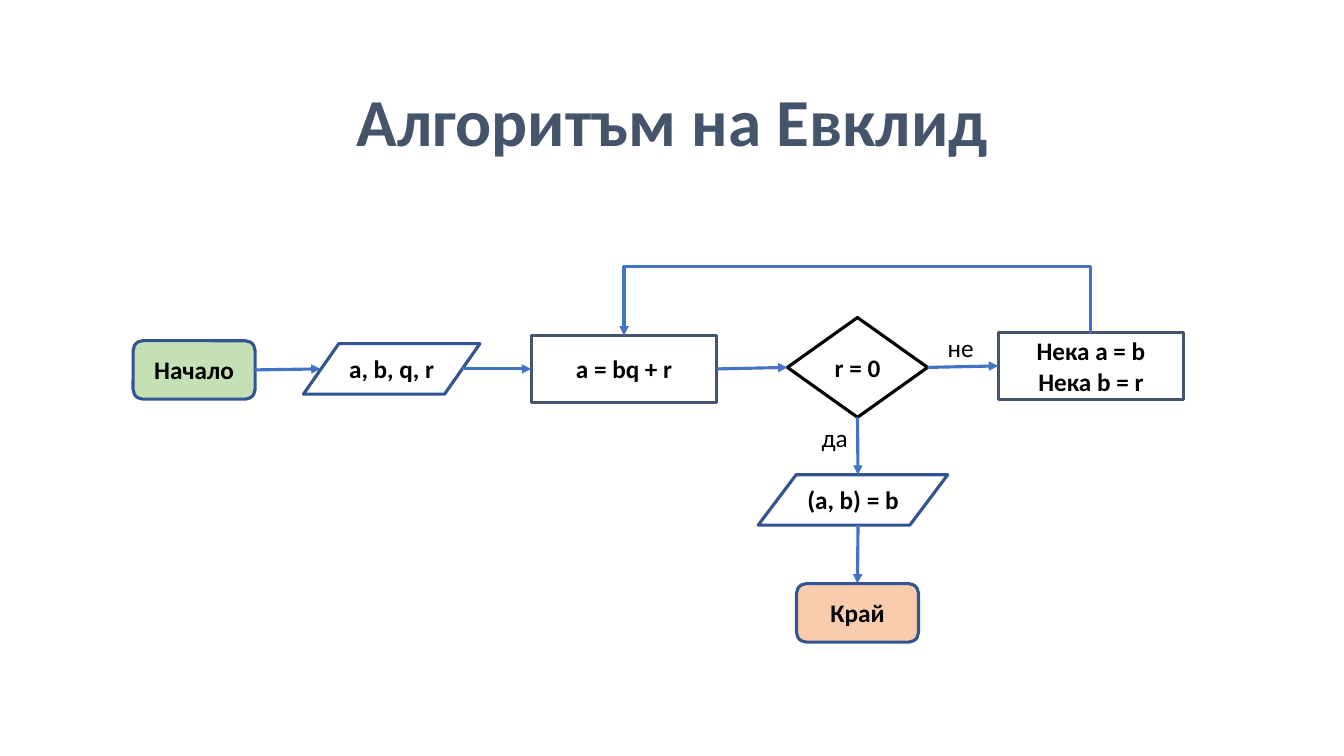
from lxml import etree
from pptx import Presentation
from pptx.dml.color import RGBColor
from pptx.enum.shapes import MSO_CONNECTOR, MSO_SHAPE
from pptx.enum.text import MSO_ANCHOR, PP_ALIGN
from pptx.oxml.ns import qn
from pptx.util import Inches, Pt

ROUNDED = MSO_SHAPE.ROUNDED_RECTANGLE
DATA = MSO_SHAPE.FLOWCHART_DATA
DECISION = MSO_SHAPE.FLOWCHART_DECISION
RECTANGLE = MSO_SHAPE.RECTANGLE
STRAIGHT, ELBOW = MSO_CONNECTOR.STRAIGHT, MSO_CONNECTOR.ELBOW
CENTER, MIDDLE = PP_ALIGN.CENTER, MSO_ANCHOR.MIDDLE
TOP, LEFT, BOTTOM, RIGHT = range(4)
BLUE, NAVY, SLATE, BLACK = "4472C4", "325491", "44546A", "000000"


def color(hex_value):
    return RGBColor.from_string(hex_value)


def add_text(paragraph, text, size=18, hex_value=BLACK, bold=True):
    run = paragraph.add_run()
    run.text = text
    run.font.name = "Calibri"
    run.font.size = Pt(size)
    run.font.bold = bold
    run.font.color.rgb = color(hex_value)


presentation = Presentation()
presentation.slide_width = Inches(13.33)
presentation.slide_height = Inches(7.5)
slide = presentation.slides.add_slide(presentation.slide_layouts[5])

title = slide.shapes.title
title.left, title.top = Inches(0.92), Inches(0.51)
title.width, title.height = Inches(11.5), Inches(1.45)
title.text_frame.vertical_anchor = MIDDLE
title_paragraph = title.text_frame.paragraphs[0]
title_paragraph.alignment = CENTER
title_paragraph.line_spacing = 0.9
add_text(title_paragraph, "Алгоритъм на Евклид", 48, SLATE)

# Flowchart steps: name, kind, left, top, width, height, fill, line, text lines
steps = [
    ("start", ROUNDED, 1.32, 3.38, 1.21, 0.58, "C5E0B4", NAVY, ["Начало"]),
    ("input", DATA, 3.01, 3.41, 1.75, 0.5, "FFFFFF", NAVY, ["a, b, q, r"]),
    ("division", RECTANGLE, 5.27, 3.33, 1.84, 0.66, None, SLATE, ["a = bq + r"]),
    ("test", DECISION, 7.81, 3.15, 1.39, 0.99, None, BLACK, ["r = 0"]),
    ("update", RECTANGLE, 9.9, 3.3, 1.84, 0.66, None, SLATE,
     ["Нека a = b", "Нека b = r"]),
    ("output", DATA, 7.52, 4.71, 1.88, 0.5, "FFFFFF", NAVY, ["(a, b) = b"]),
    ("end", ROUNDED, 7.9, 5.79, 1.21, 0.58, "F8CBAD", NAVY, ["Край"]),
]
shapes = {}
for name, kind, left, top, width, height, fill, line, texts in steps:
    shape = slide.shapes.add_shape(
        kind, Inches(left), Inches(top), Inches(width), Inches(height))
    shape.shadow.inherit = False
    if fill:
        shape.fill.solid()
        shape.fill.fore_color.rgb = color(fill)
    else:
        shape.fill.background()
    shape.line.color.rgb = color(line)
    shape.line.width = Pt(2.25)
    frame = shape.text_frame
    frame.word_wrap = True
    frame.vertical_anchor = MIDDLE
    for index, text in enumerate(texts):
        paragraph = frame.add_paragraph() if index else frame.paragraphs[0]
        paragraph.alignment = CENTER
        add_text(paragraph, text)
    shapes[name] = shape

for text, left, top in [("да", 8.05, 4.14), ("не", 9.3, 3.25)]:
    label = slide.shapes.add_textbox(
        Inches(left), Inches(top), Inches(0.71), Inches(0.4))
    label.text_frame.word_wrap = True
    add_text(label.text_frame.paragraphs[0], text, bold=False)

# Arrows: kind, start point, end point, joined start side, joined end side
arrows = [
    (STRAIGHT, (2.53, 3.67), (3.18, 3.66), ("start", RIGHT), None),
    (STRAIGHT, (4.58, 3.66), (5.27, 3.66), None, ("division", LEFT)),
    (STRAIGHT, (7.11, 3.66), (7.81, 3.65), ("division", RIGHT), ("test", LEFT)),
    (STRAIGHT, (9.2, 3.65), (9.9, 3.63), ("test", RIGHT), ("update", LEFT)),
    (STRAIGHT, (8.51, 4.14), (8.51, 4.71), ("test", BOTTOM), None),
    (STRAIGHT, (8.51, 5.21), (8.51, 5.79), None, ("end", TOP)),
    (ELBOW, (10.82, 3.3), (6.19, 3.33), ("update", TOP), ("division", TOP)),
]
for kind, start, end, source, target in arrows:
    arrow = slide.shapes.add_connector(
        kind, *[Inches(value) for value in start + end])
    if source:
        arrow.begin_connect(shapes[source[0]], source[1])
    if target:
        arrow.end_connect(shapes[target[0]], target[1])
    arrow.line.color.rgb = color(BLUE)
    arrow.line.width = Pt(2.25)
    etree.SubElement(arrow.line._get_or_add_ln(), qn("a:tailEnd"), type="triangle")
    properties = arrow._element.spPr
    etree.SubElement(properties, qn("a:effectLst"))
    if kind == ELBOW:
        # A quarter turn lets the loop leave and arrive vertically
        rise, span = 0.03, start[0] - end[0]
        arrow.left = Inches((start[0] + end[0] - rise) / 2)
        arrow.top = Inches((start[1] + end[1] - span) / 2)
        arrow.width, arrow.height = Inches(rise), Inches(span)
        transform = properties.find(qn("a:xfrm"))
        for key, value in [("rot", "16200000"), ("flipH", "1"), ("flipV", "1")]:
            transform.set(key, value)
        adjustments = properties.find(qn("a:prstGeom")).find(qn("a:avLst"))
        etree.SubElement(adjustments, qn("a:gd"), name="adj1", fmla="val -2200000")

presentation.save("out.pptx")
